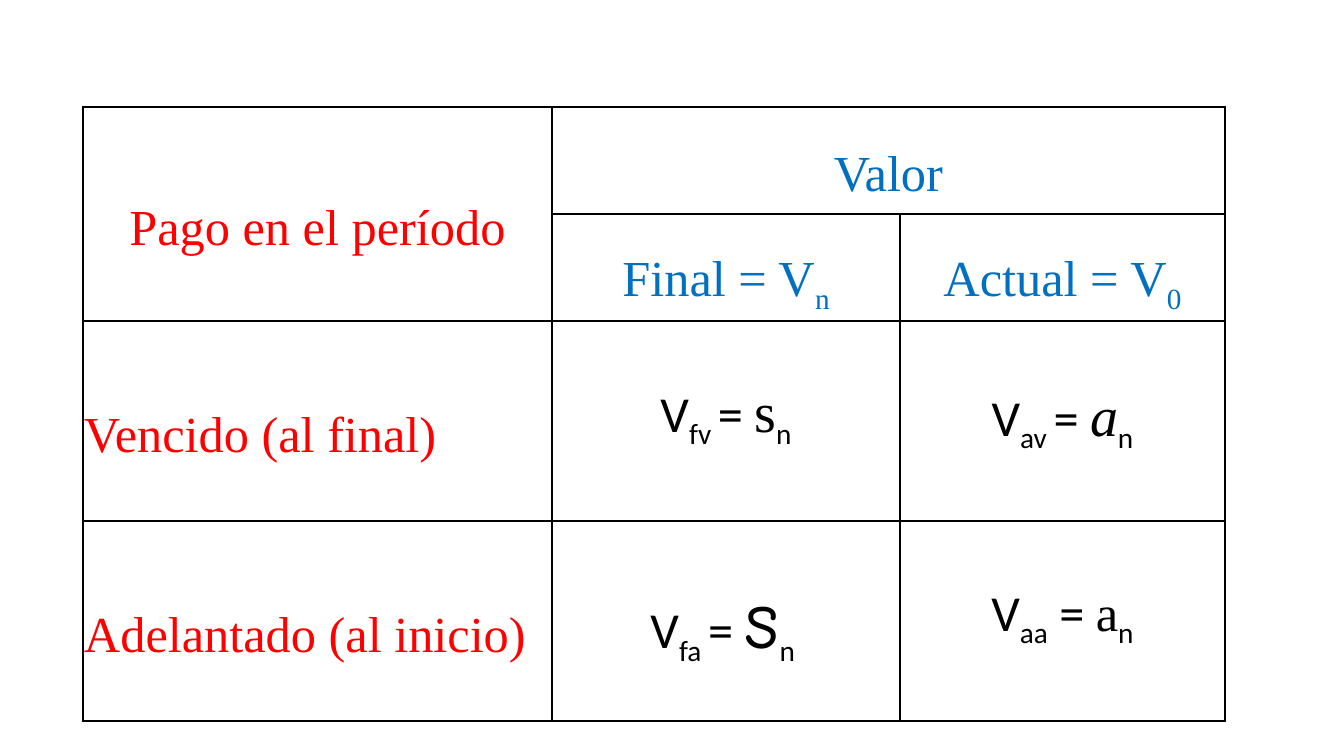
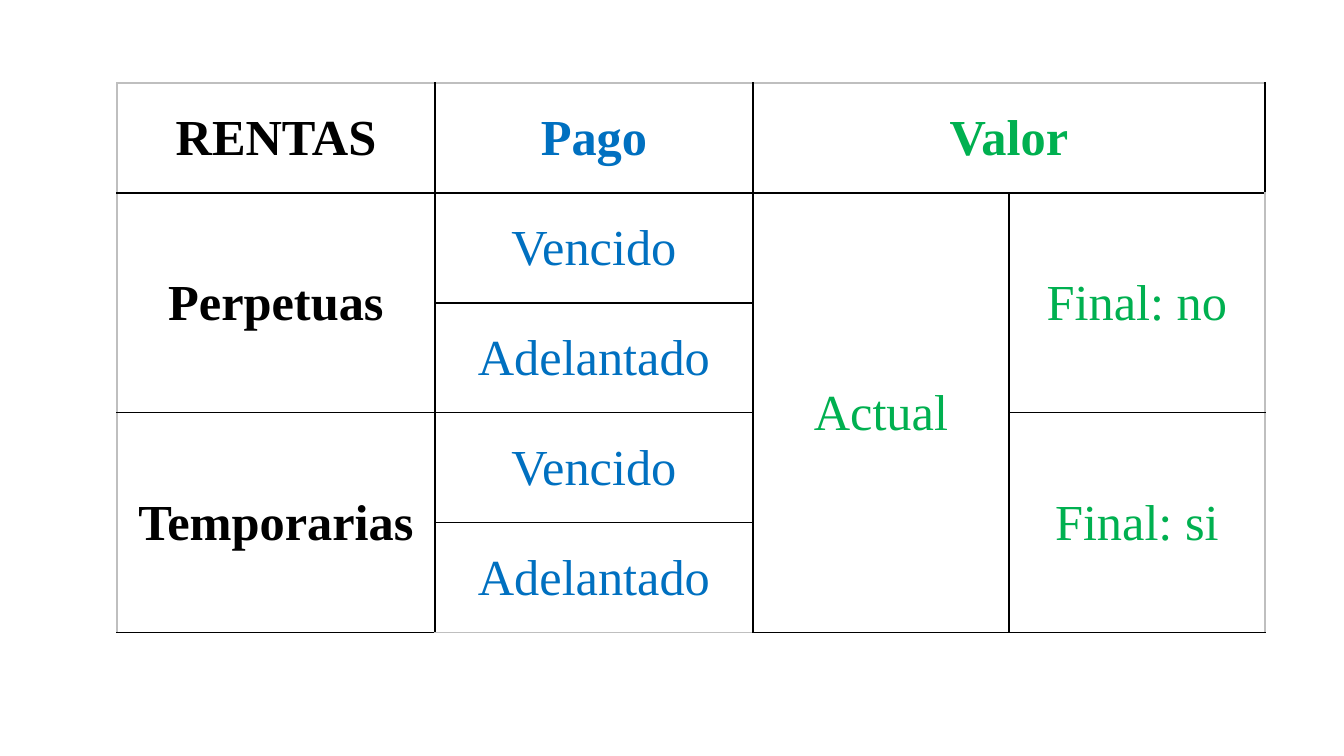
from lxml.etree import SubElement
from pptx import Presentation
from pptx.dml.color import RGBColor as RGB
from pptx.enum.text import MSO_ANCHOR as Anchor, PP_ALIGN as Align
from pptx.oxml.ns import qn
from pptx.util import Pt

PX = 12192000 / 1344
BLACK = RGB(0, 0, 0)
RED = RGB(255, 0, 0)
BLUE = RGB(0, 0x70, 0xC0)
GREEN = RGB(0, 0xB0, 0x50)
GRAY = RGB(0xBF, 0xBF, 0xBF)
SERIF, SANS, COMIC = "Times New Roman", "Calibri", "Comic Neue"


def px(num):
    return round(num * PX)


def style(color, **more):
    return dict(name=SERIF, size=Pt(36), color=color, **more)


def word(text, color, **more):
    return [(text, style(color, **more))]


def value(label, index):
    return word(label, BLUE) + word(index, BLUE, sub=True)


def formula(index, equal, sign, tail="n", **more):
    base = dict(style(BLACK), name=SANS)
    low = dict(base, sub=True)
    return [("V", base), (index, low), (equal, base),
            (sign, {**style(BLACK), **more}), (tail, low)]


TABLES = [
    dict(at=(83, 107), cols=[469, 348, 325], rows=[107, 107, 200, 200], edge=BLACK,
         cells=[
             (0, 0, word("Pago en el período", RED), dict(span=(2, 1), gap=1.5)),
             (0, 1, word("Valor", BLUE), dict(span=(1, 2), gap=1.5)),
             (1, 1, value("Final = V", "n"), dict(gap=1.5)),
             (1, 2, value("Actual = V", "0"), dict(gap=1.5)),
             (2, 0, word("Vencido (al final)", RED), dict(align=Align.LEFT, gap=1.5)),
             (2, 1, formula("fv ", "= ", "s", size=Pt(40)), dict(foot=8)),
             (2, 2, formula("av ", "= ", "a", size=Pt(40), italic=True), {}),
             (3, 0, word("Adelantado (al inicio)", RED), dict(align=Align.LEFT, gap=1.5)),
             (3, 1, formula("fa ", "= ", "s", "n ", name=COMIC, size=Pt(60)), {}),
             (3, 2, formula("aa", " = ", "a"), dict(foot=8)),
         ]),
    dict(at=(117, 83), cols=[318, 318, 256, 256], rows=[110] * 5, edge=GRAY,
         cells=[
             (0, 0, word("RENTAS", BLACK, bold=True), {}),
             (0, 1, word("Pago", BLUE, bold=True), {}),
             (0, 2, word("Valor", GREEN, bold=True), dict(span=(1, 2))),
             (1, 0, word("Perpetuas", BLACK, bold=True), dict(span=(2, 1))),
             (3, 0, word("Temporarias", BLACK, bold=True), dict(span=(2, 1))),
             *[(row, 1, word(text, BLUE), {}) for row, text in
               enumerate(["Vencido", "Adelantado"] * 2, 1)],
             (1, 2, word("Actual", GREEN), dict(span=(4, 1))),
             (1, 3, word("Final: no", GREEN), dict(span=(2, 1))),
             (3, 3, word("Final: si", GREEN), dict(span=(2, 1))),
         ]),
]


def border(cell, sides):
    props = cell._tc.get_or_add_tcPr()
    for side, color in sides.items():
        line = SubElement(props, qn("a:ln" + side), w=str(Pt(1)))
        fill = SubElement(line, qn("a:solidFill"))
        SubElement(fill, qn("a:srgbClr"), val=str(color))


def add_run(para, text, form):
    run = para.add_run()
    run.text = text
    for key, val in form.items():
        if key == "color":
            run.font.color.rgb = val
        elif key == "sub":
            run._r.get_or_add_rPr().set("baseline", "-25000")
        else:
            setattr(run.font, key, val)


def fill_cell(table, row, col, runs, span=(1, 1), align=Align.CENTER, gap=1, foot=0):
    cell = table.cell(row, col)
    if span != (1, 1):
        cell.merge(table.cell(row + span[0] - 1, col + span[1] - 1))
    cell.margin_bottom = px(foot)
    para = cell.text_frame.paragraphs[0]
    para.alignment, para.line_spacing = align, gap
    for text, form in runs:
        add_run(para, text, form)


def draw(slide, spec_data):
    cols, rows, edge = (spec_data[key] for key in ("cols", "rows", "edge"))
    box = [px(num) for num in (*spec_data["at"], sum(cols), sum(rows))]
    table = slide.shapes.add_table(len(rows), len(cols), *box).table
    table.first_row = table.horz_banding = False
    for part, size in zip(table.columns, cols):
        part.width = px(size)
    for part, size in zip(table.rows, rows):
        part.height = px(size)
    for row in range(len(rows)):
        for col in range(len(cols)):
            cell = table.cell(row, col)
            ends = dict(L=col == 0, R=col == len(cols) - 1,
                        T=row == 0, B=row == len(rows) - 1)
            border(cell, {side: edge if end else BLACK for side, end in ends.items()})
            cell.fill.background()
            cell.vertical_anchor = Anchor.MIDDLE
            cell.margin_left = cell.margin_right = cell.margin_top = px(1)
            cell.margin_bottom = 0
    for row, col, runs, form in spec_data["cells"]:
        fill_cell(table, row, col, runs, **form)


def main():
    deck = Presentation()
    deck.slide_width, deck.slide_height = px(1344), px(756)
    for data in TABLES:
        draw(deck.slides.add_slide(deck.slide_layouts[6]), data)
    deck.save("out.pptx")


if __name__ == "__main__":
    main()
